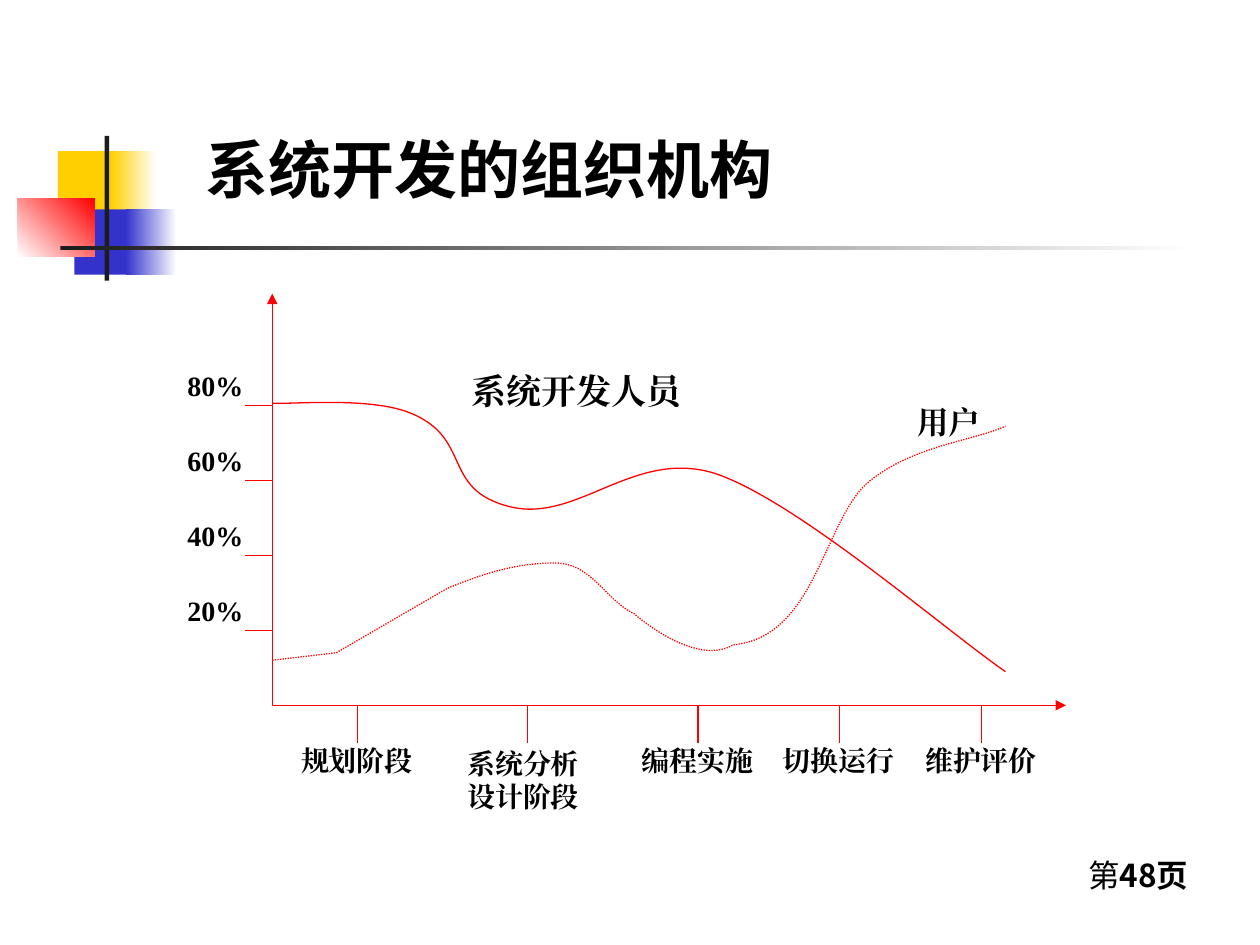
from dataclasses import dataclass

from lxml import etree
from pptx import Presentation
from pptx.dml.color import RGBColor
from pptx.enum.dml import MSO_LINE
from pptx.enum.shapes import MSO_CONNECTOR, MSO_SHAPE
from pptx.enum.text import MSO_ANCHOR, PP_ALIGN
from pptx.oxml.ns import qn
from pptx.util import Cm, Pt

RECT, STRAIGHT = MSO_SHAPE.RECTANGLE, MSO_CONNECTOR.STRAIGHT
TOP, MIDDLE = MSO_ANCHOR.TOP, MSO_ANCHOR.MIDDLE
LEFT, JUSTIFY = PP_ALIGN.LEFT, PP_ALIGN.JUSTIFY
DOTTED = MSO_LINE.ROUND_DOT


@dataclass(frozen=True)
class Theme:
    heading_font: str = "Noto Sans CJK SC"
    label_font: str = "Times New Roman"
    ink: str = "000000"
    plot: str = "FF0000"
    yellow: str = "FFCF01"
    blue: str = "3333CC"
    dark: str = "1C1C1C"
    white: str = "FFFFFF"
    title_size: int = 36
    series_size: int = 20
    page_size: int = 18
    label_size: int = 16
    line_width: float = 0.75


T = Theme()

# Content; all lengths are centimetres
TITLE = "系统开发的组织机构"
PAGE_RUNS = [("第", False), ("48页", True)]

# Decoration: left, top, width, height, start colour, end colour, angle
DECORATION = [
    (1.17, 3.05, 1.22, 1.32, T.yellow, None, 0),
    (2.24, 3.05, 0.91, 1.32, T.yellow, T.white, 0),
    (1.5, 4.22, 1.17, 1.32, T.blue, None, 0),
    (2.54, 4.22, 1.02, 1.32, T.blue, T.white, 0),
    (0.36, 4.01, 1.55, 1.17, T.white, T.plot, 45),
    (2.11, 2.74, 0.09, 2.92, T.dark, None, 0),
    (1.22, 4.95, 22.86, 0.09, T.dark, T.white, 0),
]

# Axes
X0, Y0, AXIS_TOP, AXIS_RIGHT = 5.49, 14.22, 5.92, 21.49
LEVELS = ["20%", "40%", "60%", "80%"]
LEVEL_STEP, LEVEL_TICK, STAGE_TICK = 1.51, 0.56, 0.76

# Stages: tick position, label lines, label shift left, label drop
STAGES = [
    (7.21, ["规划阶段"], 1.14, 0.76),
    (10.64, ["系统分析", "设计阶段"], 1.22, 0.82),
    (14.07, ["编程实施"], 1.14, 0.76),
    (16.92, ["切换运行"], 1.14, 0.76),
    (19.79, ["维护评价"], 1.14, 0.76),
]

# Series: name, name box, name size, dash, start, segments
# A segment of one point is a line, of three points a Bezier curve
SERIES = [
    ("系统开发人员", (9.5, 7.44, 4.8, 1.04), T.series_size, None, (X0, 8.13), [
        [(5.94, 8.15), (7.49, 8), (8.28, 8.33)],
        [(9.53, 8.84), (8.89, 9.86), (10.26, 10.21)],
        [(11.63, 10.57), (12.78, 9.02), (14.43, 9.55)],
        [(16.08, 10.11), (19.05, 12.7), (20.27, 13.54)],
    ]),
    ("用户", (18.49, 8.13, 1.9, 0.64), T.page_size, DOTTED, (X0, 13.31), [
        [(6.78, 13.16)],
        [(9.02, 11.86)],
        [(9.75, 11.56), (10.41, 11.35), (11.18, 11.35)],
        [(11.94, 11.35), (12.19, 12.09), (12.78, 12.37)],
        [(12.78, 12.37), (14, 13.46), (14.78, 13)],
        [(16.46, 12.85), (16.61, 10.44), (17.53, 9.7)],
        [(18.44, 8.97), (19.63, 8.89), (20.27, 8.59)],
    ]),
]


def rgb(value):
    return RGBColor.from_string(value)


def add_text(s, box, paragraphs, size, font, align=LEFT, anchor=TOP, inset=(0, 0)):
    """Each paragraph is a list of (text, bold) runs."""
    tf = s.shapes.add_textbox(*map(Cm, box)).text_frame
    tf.word_wrap = True
    tf.vertical_anchor = anchor
    tf.margin_left = tf.margin_right = Cm(inset[0])
    tf.margin_top = tf.margin_bottom = Cm(inset[1])
    for i, runs in enumerate(paragraphs):
        p = tf.paragraphs[0] if i == 0 else tf.add_paragraph()
        p.alignment = align
        for text, bold in runs:
            r = p.add_run()
            r.text = text
            r.font.size, r.font.bold, r.font.name = Pt(size), bold, font
            r.font.color.rgb = rgb(T.ink)
            ea = etree.SubElement(r._r.get_or_add_rPr(), qn("a:ea"))
            ea.set("typeface", font)


def add_label(s, box, lines, size=T.label_size):
    add_text(s, box, [[(line, True)] for line in lines], size, T.label_font, JUSTIFY)


def style_line(sp):
    sp.line.color.rgb = rgb(T.plot)
    sp.line.width = Pt(T.line_width)


def add_tick(s, x1, y1, x2, y2):
    sp = s.shapes.add_connector(STRAIGHT, *map(Cm, (x1, y1, x2, y2)))
    style_line(sp)
    etree.SubElement(sp._element.spPr, qn("a:effectLst"))


def add_path(s, start, segments):
    builder = s.shapes.build_freeform(Cm(start[0]), Cm(start[1]))
    points = [(Cm(x), Cm(y)) for segment in segments for x, y in segment]
    builder.add_line_segments(points, close=False)
    sp = builder.convert_to_shape()
    sp.shadow.inherit = False
    sp.fill.background()
    style_line(sp)
    # Join the points of each curve into one Bezier element
    steps = iter(list(sp._element.iter(qn("a:lnTo"))))
    for segment in segments:
        group = [next(steps) for _ in segment]
        if len(group) == 3:
            curve = etree.Element(qn("a:cubicBezTo"))
            group[0].addprevious(curve)
            for step in group:
                curve.append(step[0])
                step.getparent().remove(step)
    return sp


def add_decoration(s):
    for x, y, w, h, start, end, angle in DECORATION:
        sp = s.shapes.add_shape(RECT, *map(Cm, (x, y, w, h)))
        sp.shadow.inherit = False
        sp.line.fill.background()
        if end is None:
            sp.fill.solid()
            sp.fill.fore_color.rgb = rgb(start)
        else:
            sp.fill.gradient()
            sp.fill.gradient_angle = angle
            for stop, color in zip(sp.fill.gradient_stops, (start, end)):
                stop.color.rgb = rgb(color)


def add_axes(s):
    axes = add_path(s, (X0, AXIS_TOP), [[(X0, Y0)], [(AXIS_RIGHT, Y0)]])
    for end in ("a:headEnd", "a:tailEnd"):
        etree.SubElement(axes.line._get_or_add_ln(), qn(end)).set("type", "triangle")
    for i, level in enumerate(LEVELS, 1):
        y = Y0 - i * LEVEL_STEP
        add_tick(s, X0 - LEVEL_TICK, y, X0, y)
        add_label(s, (3.78, y - 0.75, 1.15, 1.5), [level])
    for x, lines, shift, drop in STAGES:
        add_tick(s, x, Y0, x, Y0 + STAGE_TICK)
        add_label(s, (x - shift, Y0 + drop, 2 * shift + 0.02, 1.5), lines)


def main():
    prs = Presentation()
    prs.slide_width, prs.slide_height = Cm(25.4), Cm(19.05)
    s = prs.slides.add_slide(prs.slide_layouts[6])

    # Frame: decoration, page number, title
    add_decoration(s)
    add_text(s, (21.69, 17.12, 2.74, 1.93), [PAGE_RUNS], T.page_size,
             T.heading_font, inset=(0.25, 0.13))
    add_text(s, (3.89, 2.13, 19.99, 2.54), [[(TITLE, True)]], T.title_size,
             T.heading_font, anchor=MIDDLE, inset=(0.25, 0.13))

    # Diagram: axes, curves and their names
    add_axes(s)
    for name, box, size, dash, start, segments in SERIES:
        curve = add_path(s, start, segments)
        if dash is not None:
            curve.line.dash_style = dash
        add_label(s, box, [name], size)

    prs.save("out.pptx")


if __name__ == "__main__":
    main()
